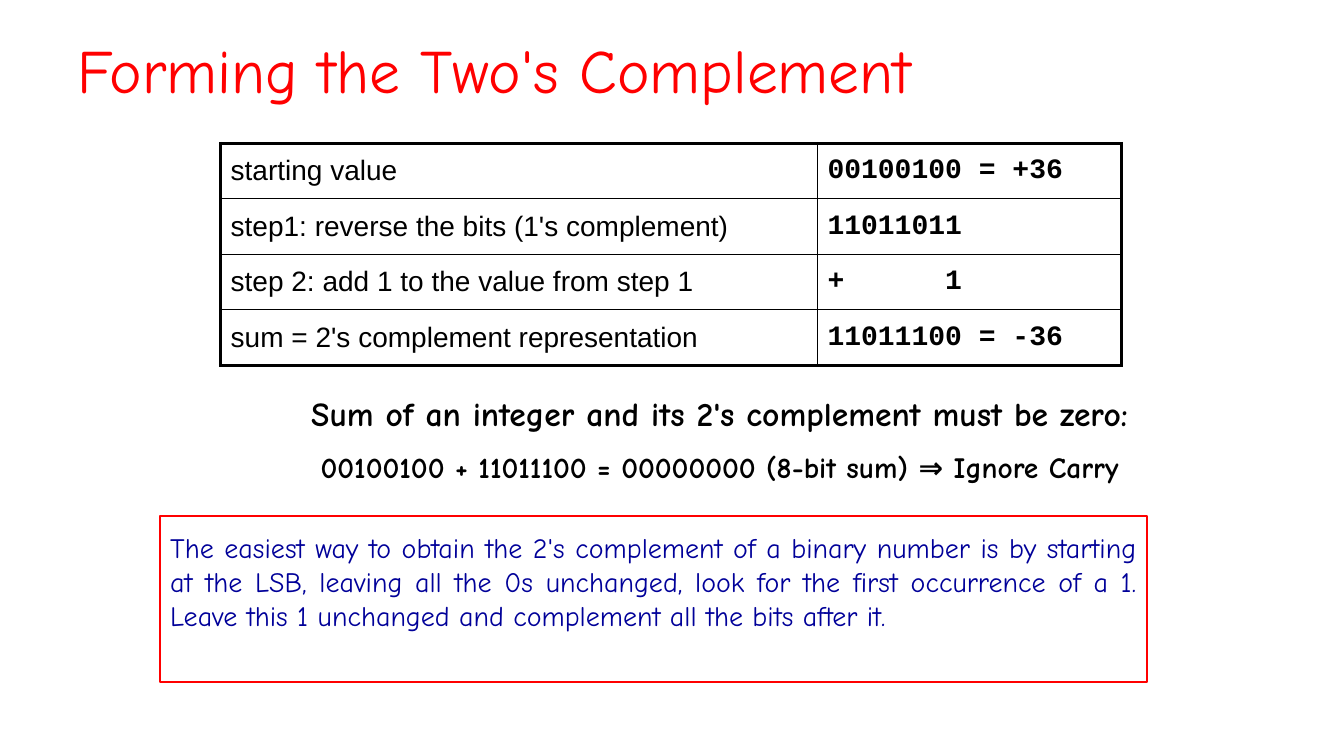
"""Build the slide on forming the two's complement."""
from lxml import etree
from pptx import Presentation
from pptx import util as u
from pptx.dml import color
from pptx.enum import shapes, text
from pptx.oxml import ns

COLOURS = {"red": "FF0000", "black": "000000", "navy": "000099"}
HAND = "Comic Neue"
STEPS = [
    ("starting value", "00100100 = +36"),
    ("step1: reverse the bits (1's complement)", "11011011"),
    ("step 2: add 1 to the value from step 1", "+\t1"),
    ("sum = 2's complement representation", "11011100 = -36"),
]
SUM_LINES = [
    ("Sum of an integer and its 2's complement must be zero:", 24),
    ("00100100 + 11011100 = 00000000 (8-bit sum) ⇒ Ignore Carry", 21),
]
SHORTCUT = (
    "The easiest way to obtain the 2's complement of a binary number is by "
    "starting at the LSB, leaving all the 0s unchanged, look for the first "
    "occurrence of a 1. Leave this 1 unchanged and complement all the bits after it."
)


def rgb(name):
    return color.RGBColor.from_string(COLOURS[name])


def set_all(target, values):
    for name, value in values.items():
        setattr(target, name, value)


def write(para, words, size, colour, font=HAND, bold=False, **layout):
    set_all(para, layout)
    span = para.add_run()
    span.text = words
    set_all(span.font, {"name": font, "size": u.Pt(size), "bold": bold})
    span.font.color.rgb = rgb(colour)


def prepare_frame(frame):
    set_all(frame, {
        "word_wrap": True,
        "vertical_anchor": text.MSO_ANCHOR.TOP,
        "margin_left": u.Cm(0.25), "margin_right": u.Cm(0.25),
        "margin_top": u.Cm(0.38), "margin_bottom": u.Cm(0.38),
    })


def add_border(cell, side, points):
    line = etree.SubElement(cell._tc.get_or_add_tcPr(), ns.qn(f"a:ln{side}"),
                            w=str(u.Pt(points)))
    fill = etree.SubElement(line, ns.qn("a:solidFill"))
    etree.SubElement(fill, ns.qn("a:srgbClr"), val=COLOURS["black"])


def add_right_tab(para, position):
    tabs = etree.SubElement(para._p.get_or_add_pPr(), ns.qn("a:tabLst"))
    etree.SubElement(tabs, ns.qn("a:tab"), pos=str(position), algn="r")


def add_title(page, left, top, width, height):
    title = page.shapes.title
    set_all(title, {"left": left, "top": top, "width": width, "height": height})
    title.text_frame.vertical_anchor = text.MSO_ANCHOR.MIDDLE
    write(title.text_frame.paragraphs[0], "Forming the Two's Complement", 44, "red",
          alignment=text.PP_ALIGN.LEFT, line_spacing=0.9)


def add_steps(page, left, top, width, height):
    table = page.shapes.add_table(len(STEPS), 2, left, top, width, height).table
    set_all(table, {"first_row": False, "horz_banding": False})
    table.columns[0].width = u.Cm(15.04)
    table.columns[1].width = width - u.Cm(15.04)
    last = len(STEPS) - 1
    for row, words in enumerate(STEPS):
        for column, value in enumerate(words):
            cell = table.cell(row, column)
            outer = {"L": column == 0, "R": column == 1, "T": row == 0, "B": row == last}
            for side, is_outer in outer.items():
                add_border(cell, side, 2.25 if is_outer else 1)
            cell.fill.background()
            cell.vertical_anchor = text.MSO_ANCHOR.MIDDLE
            para = cell.text_frame.paragraphs[0]
            if "\t" in value:
                add_right_tab(para, u.Pt(96))
            write(para, value, 20, "black", ("Arial", "Courier New")[column], column == 1)


def add_sum(page, left, top, width, height):
    frame = page.shapes.add_textbox(left, top, width, height).text_frame
    prepare_frame(frame)
    for index, (words, size) in enumerate(SUM_LINES):
        para = frame.add_paragraph() if index else frame.paragraphs[0]
        write(para, words, size, "black", bold=True, alignment=text.PP_ALIGN.CENTER,
              space_before=u.Pt(11 if index else 0))


def add_shortcut(page, left, top, width, height):
    box = page.shapes.add_shape(shapes.MSO_SHAPE.RECTANGLE, left, top, width, height)
    box.shadow.inherit = False
    box.fill.background()
    box.line.color.rgb = rgb("red")
    box.line.width = u.Pt(1.5)
    prepare_frame(box.text_frame)
    write(box.text_frame.paragraphs[0], SHORTCUT, 20, "navy",
          alignment=text.PP_ALIGN.JUSTIFY)


def main():
    deck = Presentation()
    set_all(deck, {"slide_width": u.Cm(33.87), "slide_height": u.Cm(19.05)})
    page = deck.slides.add_slide(deck.slide_layouts[5])
    regions = [
        (add_title, (1.7, 0.76, 30.48, 2.21)),
        (add_sum, (5.92, 9.53, 24.43, 3.15)),
        (add_shortcut, (4.04, 13, 24.87, 4.19)),
        (add_steps, (5.56, 3.61, 22.71, 5.6)),
    ]
    for add_region, box in regions:
        add_region(page, *map(u.Cm, box))
    deck.save("out.pptx")


if __name__ == "__main__":
    main()
